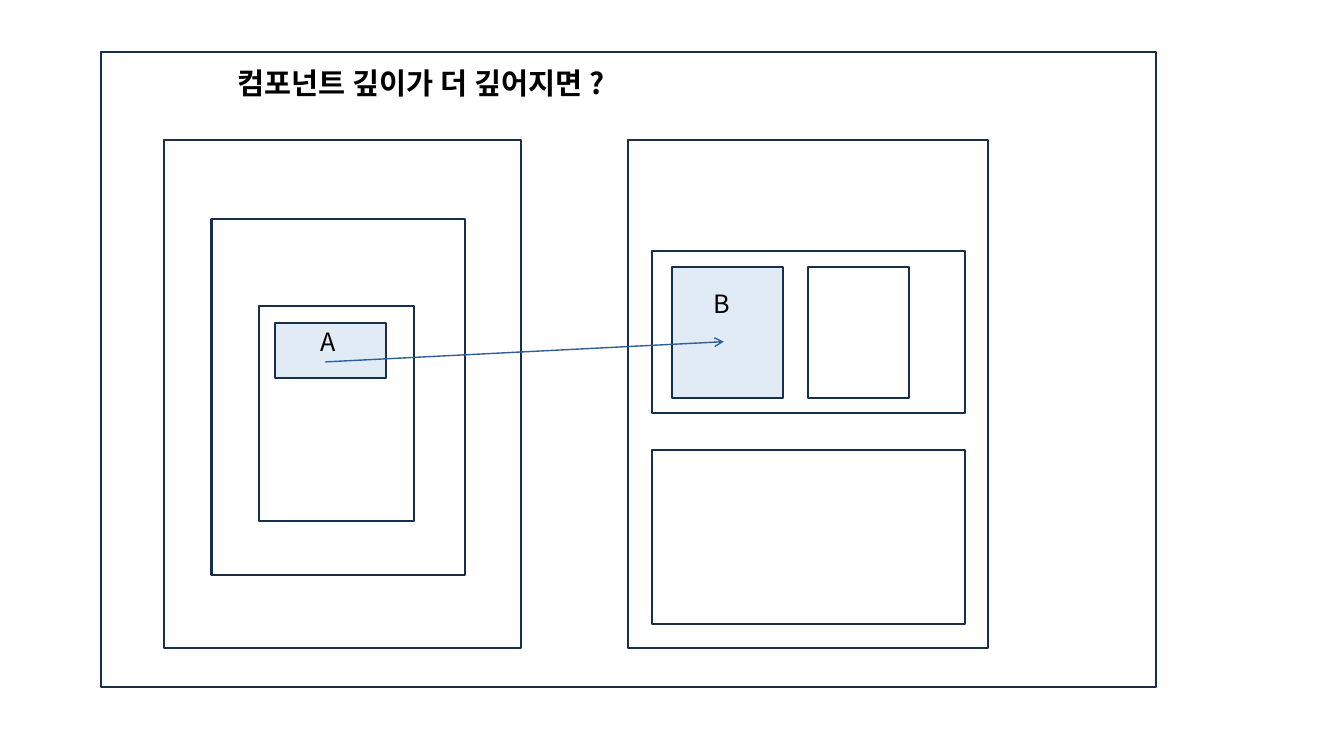
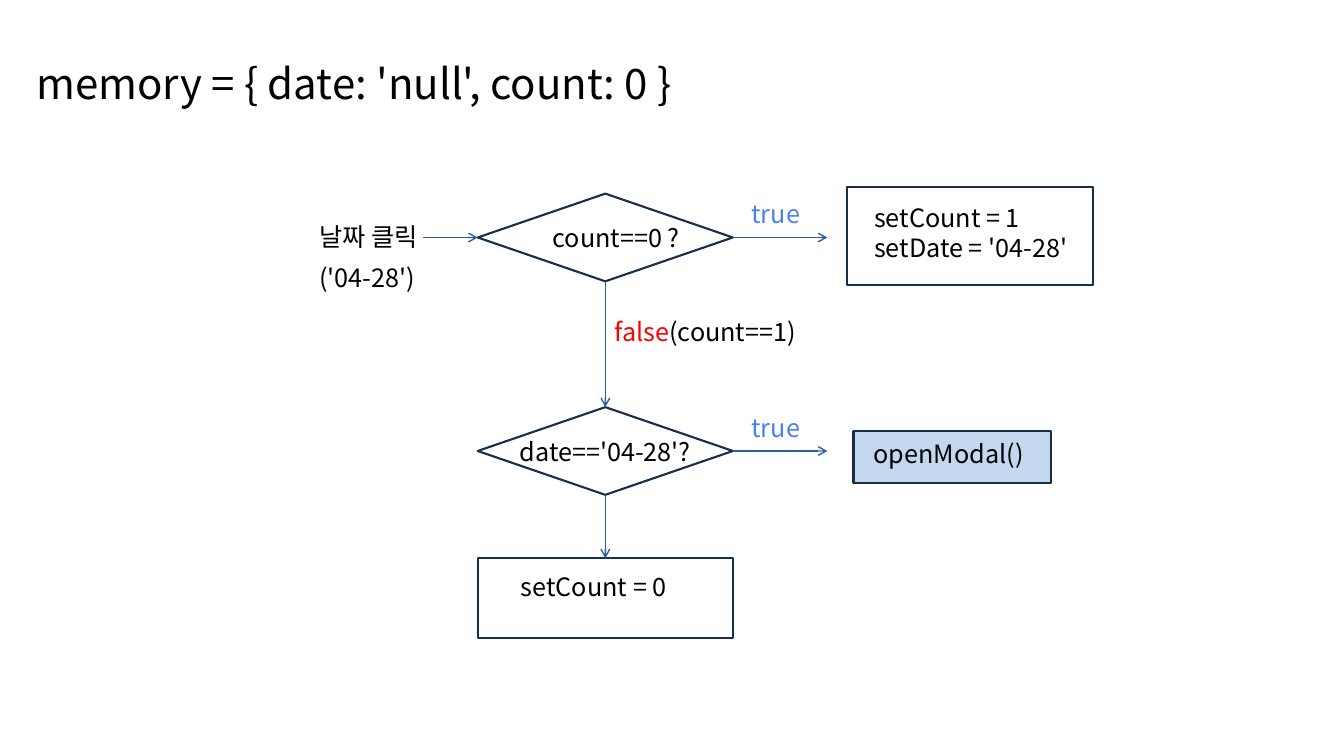
from dataclasses import dataclass

from lxml import etree
from pptx import Presentation
from pptx import util as u
from pptx.dml.color import RGBColor
from pptx.enum import shapes, text
from pptx.oxml import ns


@dataclass(frozen=True)
class Theme:
    font: str = "Noto Sans CJK KR"
    ink: str = "000000"
    outline: str = "182F4B"
    arrow: str = "2E5F9A"
    paper: str = "FFFFFF"
    pale: str = "E1EBF6"
    action: str = "C3D7EE"
    yes: str = "4983EE"
    no: str = "FF0000"
    body_size: float = 18
    heading_size: float = 21
    display_size: float = 30
    outline_width: float = 1.5
    arrow_width: float = 1


THEME = Theme()
RECTANGLE = shapes.MSO_SHAPE.RECTANGLE
DIAMOND = shapes.MSO_SHAPE.DIAMOND
TOP, LEFT, BOTTOM, RIGHT = range(4)


def lengths(values):
    return [u.Cm(value) for value in values]


def add_run(paragraph, words, color=THEME.ink, size=THEME.body_size, bold=False):
    run = paragraph.add_run()
    run.text = words
    run.font.name = THEME.font
    run.font.size = u.Pt(size)
    run.font.bold = bold
    run.font.color.rgb = RGBColor.from_string(color)
    east_asian = etree.Element(ns.qn("a:ea"), typeface=THEME.font)
    run.font._element.find(ns.qn("a:latin")).addnext(east_asian)


def add_slide(presentation, title, box, size, bold=False):
    slide = presentation.slides.add_slide(presentation.slide_layouts[5])
    shape = slide.shapes.title
    shape.left, shape.top, shape.width, shape.height = lengths(box)
    frame = shape.text_frame
    frame.auto_size = text.MSO_AUTO_SIZE.NONE
    frame.vertical_anchor = text.MSO_ANCHOR.TOP
    frame.word_wrap = True
    frame.paragraphs[0].alignment = text.PP_ALIGN.LEFT
    add_run(frame.paragraphs[0], title, size=size, bold=bold)
    return slide


def bring_title_to_front(slide):
    title = slide.shapes.title.element
    title.getparent().append(title)


def add_box(slide, box, fill=THEME.paper, kind=RECTANGLE):
    shape = slide.shapes.add_shape(kind, *lengths(box))
    shape.shadow.inherit = False
    if fill:
        shape.fill.solid()
        shape.fill.fore_color.rgb = RGBColor.from_string(fill)
    else:
        shape.fill.background()
    shape.line.color.rgb = RGBColor.from_string(THEME.outline)
    shape.line.width = u.Pt(THEME.outline_width)
    return shape


def add_text_box(slide, box, lines, inset, fill=THEME.paper):
    shape = add_box(slide, box, fill)
    frame = shape.text_frame
    frame.word_wrap = False
    frame.vertical_anchor = text.MSO_ANCHOR.TOP
    frame.margin_left, frame.margin_top = lengths(inset)
    frame.margin_right = frame.margin_bottom = 0
    for index, line in enumerate(lines):
        paragraph = frame.add_paragraph() if index else frame.paragraphs[0]
        paragraph.alignment = text.PP_ALIGN.LEFT
        add_run(paragraph, line)
    return shape


def add_decision(slide, box, question, shift=0):
    shape = add_box(slide, box, kind=DIAMOND)
    frame = shape.text_frame
    frame.word_wrap = False
    frame.vertical_anchor = text.MSO_ANCHOR.MIDDLE
    frame.margin_left = u.Cm(2 * shift)
    frame.margin_right = frame.margin_top = frame.margin_bottom = 0
    frame.paragraphs[0].alignment = text.PP_ALIGN.CENTER
    add_run(frame.paragraphs[0], question)
    return shape


def add_label(slide, box, runs):
    frame = slide.shapes.add_textbox(*lengths(box)).text_frame
    frame.word_wrap = True
    for words, color in runs:
        add_run(frame.paragraphs[0], words, color)


def add_arrow(slide, start, end, begin=None, finish=None):
    connector = slide.shapes.add_connector(
        shapes.MSO_CONNECTOR.STRAIGHT, *lengths(start + end))
    if begin:
        connector.begin_connect(*begin)
    if finish:
        connector.end_connect(*finish)
    connector.line.color.rgb = RGBColor.from_string(THEME.arrow)
    connector.line.width = u.Pt(THEME.arrow_width)
    etree.SubElement(connector.line._get_or_add_ln(), ns.qn("a:tailEnd"), type="arrow")
    etree.SubElement(connector.element.spPr, ns.qn("a:effectLst"))


def build_depth_slide(presentation):
    slide = add_slide(presentation, "컴포넌트 깊이가 더 깊어지면 ?",
                      (5.74, 1.52, 11.2, 1.14), THEME.heading_size, bold=True)
    for box in (
        (2.54, 1.32, 26.59, 16),
        (4.14, 3.53, 8.99, 12.8),
        (15.82, 3.53, 9.09, 12.8),
        (5.33, 5.51, 6.4, 8.99),
        (6.53, 7.72, 3.91, 5.41),
        (16.43, 11.33, 7.9, 4.39),
        (16.43, 6.32, 7.9, 4.09),
    ):
        add_box(slide, box)
    add_text_box(slide, (16.94, 6.73, 2.79, 3.3), ["B"], (1.04, 0.53), THEME.pale)
    add_box(slide, (20.37, 6.73, 2.54, 3.3), fill=None)
    add_text_box(slide, (6.93, 8.15, 2.79, 1.37), ["A"], (1.14, 0.08), THEME.pale)
    add_arrow(slide, (8.2, 9.12), (18.24, 8.61))
    bring_title_to_front(slide)


def build_flow_slide(presentation):
    slide = add_slide(presentation, "memory = { date: 'null', count: 0 }",
                      (0.66, 1.32, 17.73, 1.5), THEME.display_size)
    column, width, height = 12.04, 6.43, 2.21
    center, right = column + width / 2, column + width
    label_height = 1.02

    decisions = []
    for top, question, shift in ((4.88, "count==0 ?", 0.28),
                                 (10.26, "date=='04-28'?", 0)):
        decision = add_decision(slide, (column, top, width, height), question, shift)
        middle = top + height / 2
        add_arrow(slide, (right, middle), (20.85, middle), begin=(decision, RIGHT))
        add_label(slide, (18.69, top, 5.3, label_height), [("true", THEME.yes)])
        decisions.append(decision)
    count_check, date_check = decisions

    for row, words in enumerate(("날짜 클릭", "('04-28')")):
        add_label(slide, (7.8, 5.46 + row * label_height, 3.73, label_height),
                  [(words, THEME.ink)])
    add_label(slide, (15.24, 7.85, 5.21, label_height),
              [("false", THEME.no), ("(count==1)", THEME.ink)])

    add_text_box(slide, (21.34, 4.72, 6.2, 2.46),
                 ["setCount = 1", "setDate = '04-28'"], (0.69, 0.38))
    add_text_box(slide, (21.51, 10.87, 4.98, 1.3), ["openModal()"],
                 (0.51, 0.18), THEME.action)
    reset = add_text_box(slide, (column, 14.07, width, 2.01), ["setCount = 0"],
                         (1.09, 0.33), fill=None)

    add_arrow(slide, (10.67, 4.88 + height / 2), (column, 4.88 + height / 2),
              finish=(count_check, LEFT))
    for upper, lower in ((count_check, date_check), (date_check, reset)):
        add_arrow(slide, (center, 0), (center, 1),
                  begin=(upper, BOTTOM), finish=(lower, TOP))


def main():
    presentation = Presentation()
    presentation.slide_width = u.Cm(33.87)
    presentation.slide_height = u.Cm(19.05)
    build_depth_slide(presentation)
    build_flow_slide(presentation)
    presentation.save("out.pptx")


if __name__ == "__main__":
    main()
